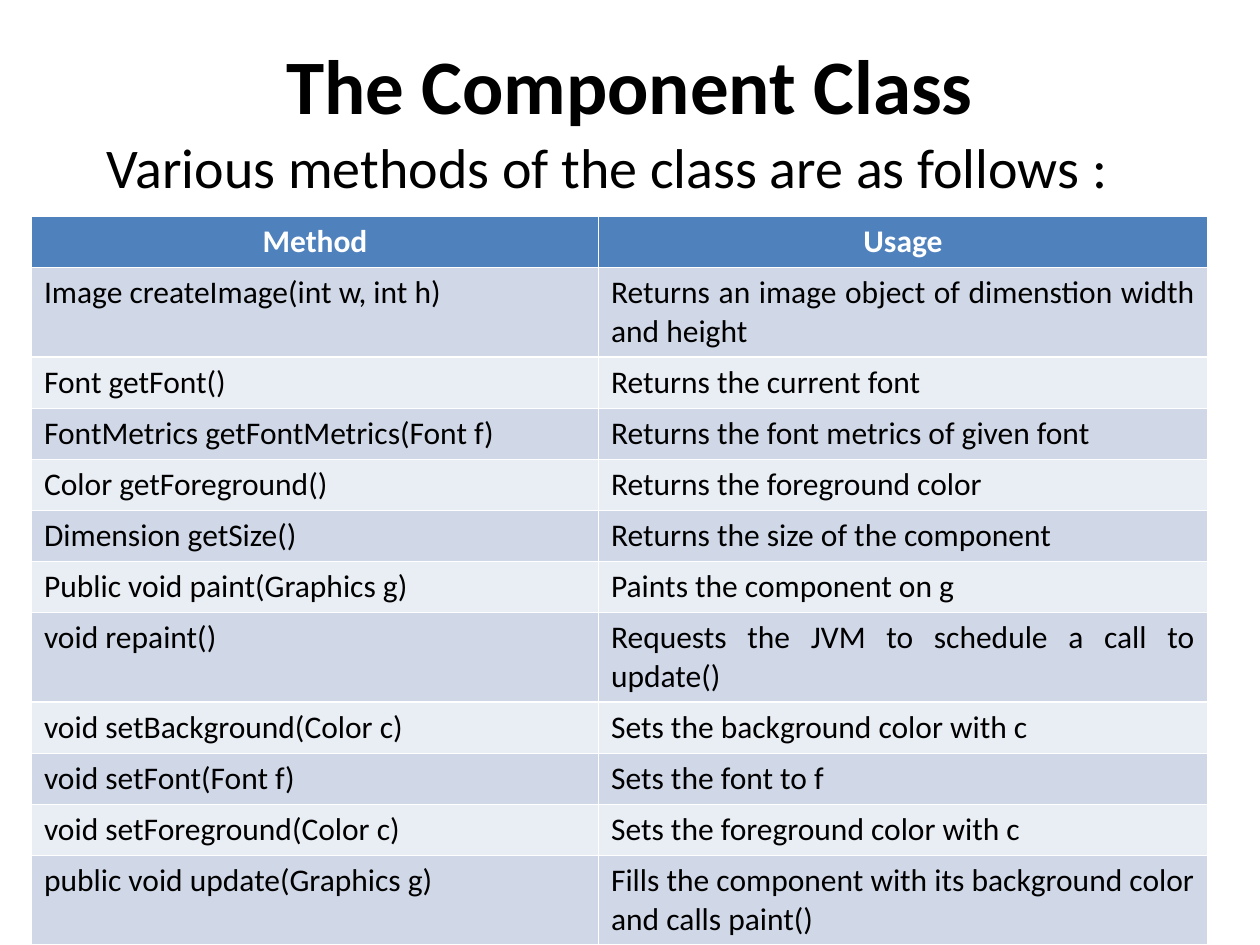
from typing import NamedTuple

from pptx import Presentation
from pptx.dml.color import RGBColor
from pptx.enum.text import MSO_ANCHOR, PP_ALIGN
from pptx.util import Emu, Pt

CENTER, LEFT, JUSTIFY = PP_ALIGN.CENTER, PP_ALIGN.LEFT, PP_ALIGN.JUSTIFY
MIDDLE = MSO_ANCHOR.MIDDLE
EMU_PER_PX = 9525  # 96 px to the inch
FONT = "Calibri"
BLACK, WHITE = "000000", "FFFFFF"
HEADER_FILL = "4F81BD"
BAND_FILLS = ("E9EDF4", "D0D8E8")  # even rows, odd rows
COLUMN_WIDTHS = (432, 464)
ROW_HEIGHT = 34


class Method(NamedTuple):
    signature: str
    usage: str


HEADER = Method("Method", "Usage")
METHODS = [
    Method("Image createImage(int w, int h)",
           "Returns an image object of dimenstion width and height"),
    Method("Font getFont()", "Returns the current font"),
    Method("FontMetrics getFontMetrics(Font f)", "Returns the font metrics of given font"),
    Method("Color getForeground()", "Returns the foreground color"),
    Method("Dimension getSize()", "Returns the size of the component"),
    Method("Public void paint(Graphics g)", "Paints the component on g"),
    Method("void repaint()", "Requests the JVM to schedule a call to update()"),
    Method("void setBackground(Color c)", "Sets the background color with c"),
    Method("void setFont(Font f)", "Sets the font to f"),
    Method("void setForeground(Color c)", "Sets the foreground color with c"),
    Method("public void update(Graphics g)",
           "Fills the component with its background color and calls paint()"),
]


def px(length: int) -> Emu:
    return Emu(length * EMU_PER_PX)


def color(value: str) -> RGBColor:
    return RGBColor.from_string(value)


def write(text_frame, text: str, size: int, alignment, bold: bool = False,
          text_color: str = BLACK) -> None:
    paragraph = text_frame.paragraphs[0]
    paragraph.text = text
    paragraph.alignment = alignment
    font = paragraph.font
    font.name, font.size, font.bold = FONT, Pt(size), bold
    font.color.rgb = color(text_color)


def add_title(slide, text: str) -> None:
    title = slide.shapes.title
    title.left, title.top, title.width, title.height = px(0), px(16), px(960), px(96)
    title.text_frame.vertical_anchor = MIDDLE
    write(title.text_frame, text, 44, CENTER, bold=True)


def add_introduction(slide, text: str) -> None:
    box = slide.shapes.add_textbox(px(24), px(96), px(920), px(61))
    box.text_frame.word_wrap = True
    write(box.text_frame, text, 32, JUSTIFY)


def add_method_table(slide, methods: list[Method]) -> None:
    rows = [HEADER, *methods]
    table = slide.shapes.add_table(
        len(rows), len(COLUMN_WIDTHS), px(24), px(165),
        px(sum(COLUMN_WIDTHS)), px(ROW_HEIGHT * len(rows))).table
    for column, width in zip(table.columns, COLUMN_WIDTHS):
        column.width = px(width)
    for row_index, method in enumerate(rows):
        is_header = row_index == 0
        fill = HEADER_FILL if is_header else BAND_FILLS[row_index % 2]
        alignments = (CENTER, CENTER) if is_header else (LEFT, JUSTIFY)
        for column_index, (text, alignment) in enumerate(zip(method, alignments)):
            cell = table.cell(row_index, column_index)
            cell.fill.solid()
            cell.fill.fore_color.rgb = color(fill)
            write(cell.text_frame, text, 18, alignment, bold=is_header,
                  text_color=WHITE if is_header else BLACK)


def main() -> None:
    presentation = Presentation()
    presentation.slide_width, presentation.slide_height = px(960), px(720)
    slide = presentation.slides.add_slide(presentation.slide_layouts[0])

    # The title slide's subtitle is not needed
    subtitle = slide.placeholders[1].element
    subtitle.getparent().remove(subtitle)

    add_title(slide, "The Component Class")
    add_method_table(slide, METHODS)
    add_introduction(slide, "\tVarious methods of the class are as follows :")
    presentation.save("out.pptx")


if __name__ == "__main__":
    main()
